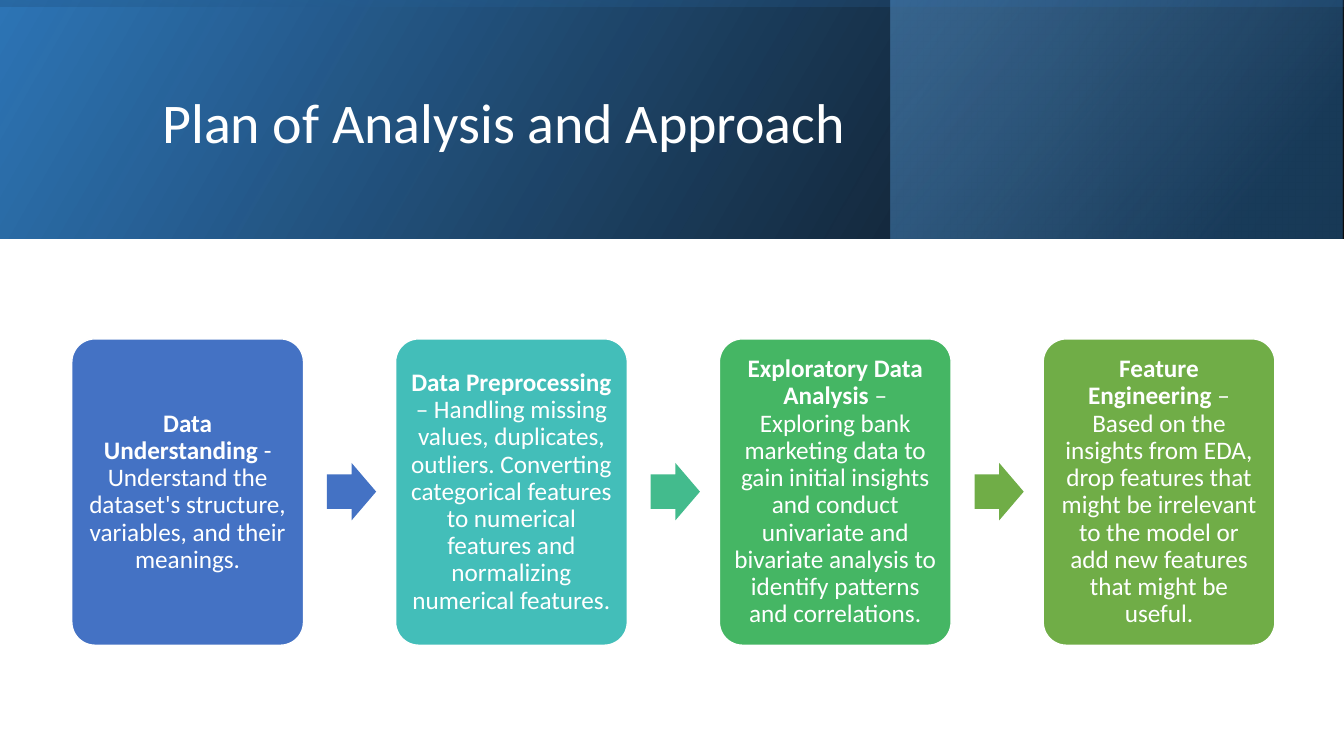
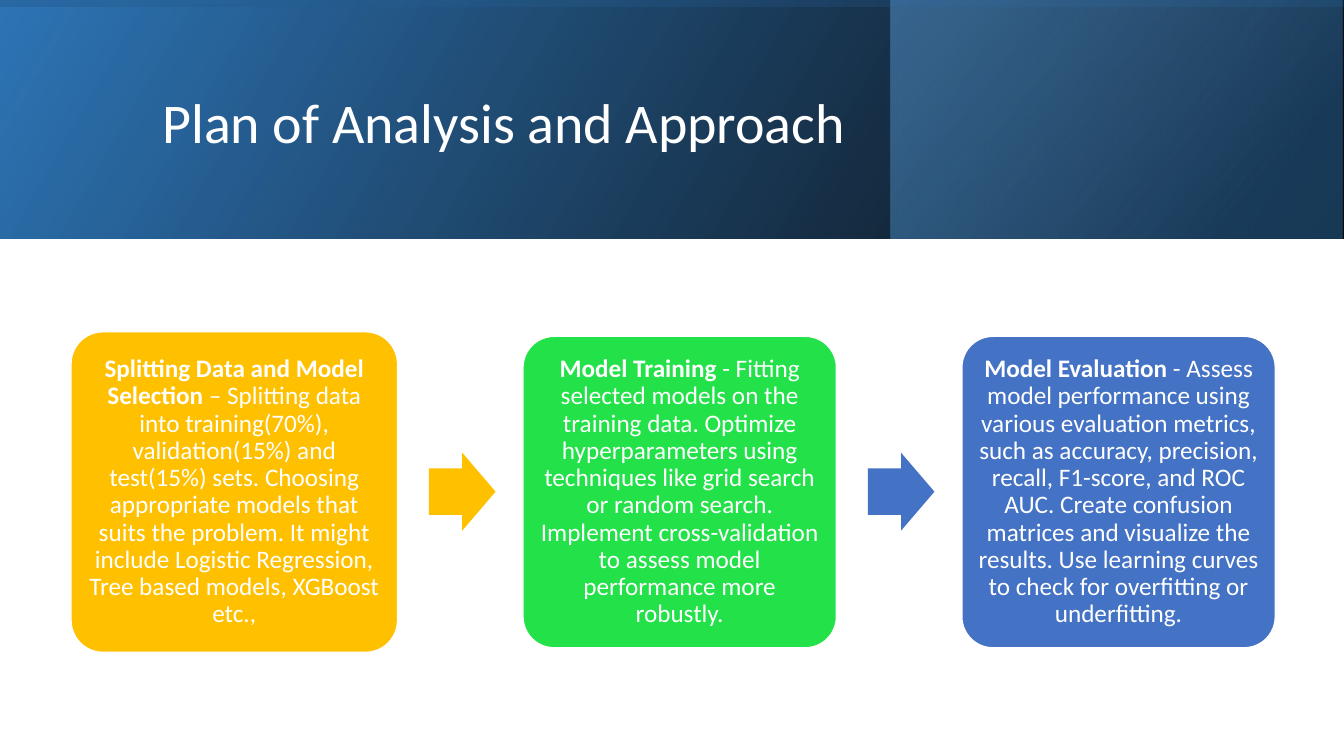
from dataclasses import dataclass

from pptx import Presentation
from pptx.dml.color import RGBColor
from pptx.enum.shapes import MSO_SHAPE
from pptx.enum.text import MSO_ANCHOR, MSO_AUTO_SIZE, PP_ALIGN
from pptx.oxml.ns import qn
from pptx.util import Cm, Pt
from lxml import etree

# Shared style
FONT = "Calibri"
WHITE = RGBColor(0xFF, 0xFF, 0xFF)
BLACK = RGBColor(0x00, 0x00, 0x00)
NAVY = RGBColor(0x1F, 0x4E, 0x79)
DEEP_BLUE = RGBColor(0x2E, 0x75, 0xB6)
SKY = RGBColor(0x5B, 0x9B, 0xD5)
BLUE = RGBColor(0x44, 0x72, 0xC4)
TEAL = RGBColor(0x43, 0xBE, 0xB9)
SEA = RGBColor(0x43, 0xBB, 0x8D)
GREEN = RGBColor(0x45, 0xB6, 0x64)
OLIVE = RGBColor(0x70, 0xAD, 0x47)
GOLD = RGBColor(0xFF, 0xC0, 0x00)
LIME = RGBColor(0x23, 0xE1, 0x48)

SLIDE_W, SLIDE_H = 33.87, 19.05
BAND_H = 6.02
FLOW_MID = 12.39
TITLE = "Plan of Analysis and Approach"


@dataclass
class Step:
    head: str
    text: str
    color: RGBColor
    width: float
    height: float


@dataclass
class Flow:
    left: float
    arrow_size: tuple
    gap_before: float
    gap_after: float
    arrow_colors: list
    steps: list


ANALYSIS = Flow(1.81, (1.24, 1.45), 0.59, 0.49, [BLUE, SEA, OLIVE], [
    Step("Data Understanding ",
         "- Understand the dataset's structure, variables, and their meanings.",
         BLUE, 5.84, 7.72),
    Step("Data Preprocessing ",
         "\u2013 Handling missing values, duplicates, outliers. Converting "
         "categorical features to numerical features and normalizing "
         "numerical features.",
         TEAL, 5.84, 7.72),
    Step("Exploratory Data Analysis ",
         "\u2013 Exploring bank marketing data to gain initial insights and "
         "conduct univariate and bivariate analysis to identify patterns "
         "and correlations.",
         GREEN, 5.84, 7.72),
    Step("Feature Engineering ",
         "\u2013 Based on the insights from EDA, drop features that might be "
         "irrelevant to the model or add new features that might be useful.",
         OLIVE, 5.84, 7.72),
])

MODELLING = Flow(1.79, (1.68, 1.96), 0.79, 0.69, [GOLD, BLUE], [
    Step("Splitting Data and Model Selection ",
         "\u2013 Splitting data into training(70%), validation(15%) and "
         "test(15%) sets. Choosing appropriate models that suits the problem. "
         "It might include Logistic Regression, Tree based models, XGBoost "
         "etc.,",
         GOLD, 8.23, 8.08),
    Step("Model Training ",
         "- Fitting selected models on the training data. Optimize "
         "hyperparameters using techniques like grid search or random search. "
         "Implement cross-validation to assess model performance more "
         "robustly.",
         LIME, 7.9, 7.85),
    Step("Model Evaluation ",
         "- Assess model performance using various evaluation metrics, such "
         "as accuracy, precision, recall, F1-score, and ROC AUC. Create "
         "confusion matrices and visualize the results. Use learning curves "
         "to check for overfitting or underfitting.",
         BLUE, 7.9, 7.85),
])


def add_shape(s, kind, x, y, w, h):
    sp = s.shapes.add_shape(kind, Cm(x), Cm(y), Cm(w), Cm(h))
    sp.shadow.inherit = False
    sp.line.fill.background()
    return sp


def add_band(s, x, y, w, h, angle, stops, rotation=0):
    """Mirrored gradient band; stops are (position, colour, opacity %)."""
    sp = add_shape(s, MSO_SHAPE.RECTANGLE, x, y, w, h)
    sp.rotation = rotation
    sp._element.spPr.find(qn("a:xfrm")).set("flipH", "1")
    sp.fill.gradient()
    sp.fill.gradient_angle = angle
    for stop, (position, color, opacity) in zip(sp.fill.gradient_stops, stops):
        stop.position = position
        stop.color.rgb = color
        srgb = stop._gs.find(qn("a:srgbClr"))
        etree.SubElement(srgb, qn("a:alpha")).set("val", str(opacity * 1000))


def add_run(p, text, size, bold=False):
    r = p.add_run()
    r.text = text
    r.font.name = FONT
    r.font.size = Pt(size)
    r.font.bold = bold
    r.font.color.rgb = WHITE


def add_header(s):
    # Gradient bands
    add_band(s, 0, 0, SLIDE_W, BAND_H, 30,
             [(0, BLACK, 96), (1, DEEP_BLUE, 100)])
    add_band(s, 22.45, 0, 11.39, BAND_H, 40,
             [(0.19, NAVY, 68), (1, SKY, 48)])
    add_band(s, (SLIDE_W - BAND_H) / 2, (BAND_H - SLIDE_W) / 2,
             BAND_H, SLIDE_W, 10,
             [(0.23, DEEP_BLUE, 16), (0.99, BLACK, 45)], rotation=270)

    # Title, brought in front of the bands
    title = s.shapes.title
    title.left, title.top = Cm(3.84), Cm(0.97)
    title.width, title.height = Cm(27), Cm(4.37)
    s.shapes._spTree.append(title._element)
    tf = title.text_frame
    tf.auto_size = MSO_AUTO_SIZE.NONE
    tf.vertical_anchor = MSO_ANCHOR.MIDDLE
    p = tf.paragraphs[0]
    p.alignment = PP_ALIGN.LEFT
    p.line_spacing = 0.9
    add_run(p, TITLE, 40)


def add_step(s, x, step):
    sp = add_shape(s, MSO_SHAPE.ROUNDED_RECTANGLE, x,
                   FLOW_MID + 0.01 - step.height / 2, step.width, step.height)
    sp.adjustments[0] = 0.1
    sp.fill.solid()
    sp.fill.fore_color.rgb = step.color
    sp.line.color.rgb = WHITE
    sp.line.width = Pt(1)
    tf = sp.text_frame
    tf.word_wrap = True
    tf.vertical_anchor = MSO_ANCHOR.MIDDLE
    tf.margin_left = tf.margin_right = Cm(0.18)
    tf.margin_top = tf.margin_bottom = Cm(0.18)
    p = tf.paragraphs[0]
    p.alignment = PP_ALIGN.CENTER
    p.line_spacing = 0.9
    add_run(p, step.head, 18, bold=True)
    add_run(p, step.text, 18)


def add_arrow(s, x, size, color):
    w, h = size
    sp = add_shape(s, MSO_SHAPE.RIGHT_ARROW, x, FLOW_MID - h / 2, w, h)
    sp.adjustments[0] = 0.6
    sp.adjustments[1] = 0.5
    sp.fill.solid()
    sp.fill.fore_color.rgb = color


def add_flow(s, flow):
    x = flow.left
    for i, step in enumerate(flow.steps):
        add_step(s, x, step)
        x += step.width + flow.gap_before
        if i < len(flow.arrow_colors):
            add_arrow(s, x, flow.arrow_size, flow.arrow_colors[i])
            x += flow.arrow_size[0] + flow.gap_after


def main():
    prs = Presentation()
    prs.slide_width, prs.slide_height = Cm(SLIDE_W), Cm(SLIDE_H)
    title_only = prs.slide_layouts[5]
    for flow in (ANALYSIS, MODELLING):
        s = prs.slides.add_slide(title_only)
        add_header(s)
        add_flow(s, flow)
    prs.save("out.pptx")


main()
